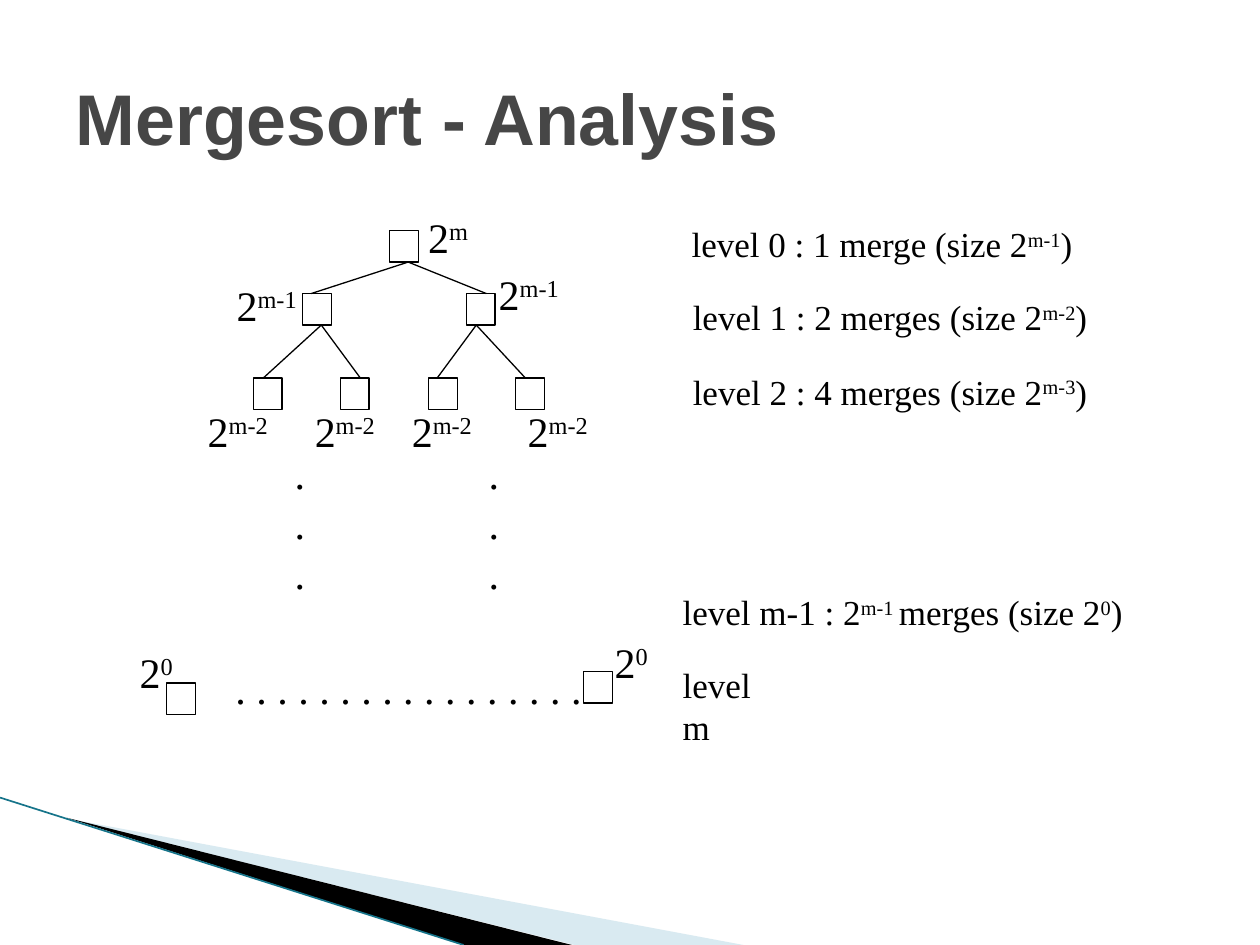
from dataclasses import dataclass

import lxml.etree
import pptx
import pptx.dml.color
import pptx.enum.shapes
import pptx.enum.text
import pptx.oxml.ns
import pptx.util
from pptx.util import Inches


@dataclass(frozen=True)
class Theme:
    ink: str = "000000"
    paper: str = "FFFFFF"
    title: str = "464646"
    pale_wedge: str = "A0CBDC"
    edge: str = "16748A"
    title_font: str = "Arial"
    body_font: str = "Times New Roman"
    title_size: float = 41
    node_size: float = 24
    level_size: float = 20
    thin_line: float = 0.75
    edge_line: float = 0.95


@dataclass(frozen=True)
class Label:
    """Text box; parts between carets are superscript."""
    text: str
    left: float
    top: float
    width: float
    height: float = 0.5
    size: float = Theme.node_size


@dataclass(frozen=True)
class Branches:
    """A parent's lower point and the upper points of its two children."""
    start: tuple[float, float]
    child_xs: tuple[float, float]
    child_top: float


THEME = Theme()
NODE_WIDTH, NODE_HEIGHT = 0.23, 0.25

# Left edges of the nodes in each row, keyed by the row's top
NODE_ROWS = {
    1.83: [3.09],
    2.33: [2.4, 3.7],
    3.0: [2.01, 2.7, 3.4, 4.09],
    5.33: [4.63],
    5.42: [1.32],
}
BRANCHES = [
    Branches((3.24, 2.08), (2.47, 3.86), 2.33),
    Branches((2.55, 2.58), (2.09, 2.86), 3.0),
    Branches((3.78, 2.58), (3.47, 4.17), 3.0),
]
NODE_LABELS = [
    Label("2^m", 3.3, 1.63, 0.54),
    Label("2^m-1", 1.78, 2.17, 0.73),
    Label("2^m-1", 3.86, 2.08, 0.73),
    *[Label("2^m-2", left, 3.17, 0.73) for left in (1.55, 2.4, 3.17, 4.09)],
    Label("2^0", 1.01, 5.08, 0.48),
    Label("2^0", 4.78, 5.0, 0.48),
]
DOTS = [
    *[Label("\n".join("..."), left, 3.5, 0.28, 1.3) for left in (2.24, 3.78)],
    Label(" ".join("." * 17), 1.77, 5.21, 2.95),
]
LEVEL_LABELS = [
    Label(text, left, top, width, 0.43, THEME.level_size)
    for text, left, top, width in [
        ("level 0 : 1 merge (size 2^m-1^)", 5.39, 1.72, 3.32),
        ("level 1 : 2 merges (size 2^m-2^)", 5.4, 2.3, 3.43),
        ("level 2 : 4 merges (size 2^m-3^)", 5.4, 2.89, 3.43),
        ("level m-1 : 2^m-1 ^merges (size 2^0^)", 5.32, 4.64, 3.8),
        ("level m", 5.32, 5.22, 1.02),
    ]
]


def color(value: str) -> pptx.dml.color.RGBColor:
    return pptx.dml.color.RGBColor.from_string(value)


def format_font(font, name: str, size: float, ink: str, bold: bool = False) -> None:
    font.name, font.size, font.bold = name, pptx.util.Pt(size), bold
    font.color.rgb = color(ink)


def add_wedge(slide, points: list[tuple[float, float]], fill: str,
              opacity: int = 100) -> None:
    corners = [(Inches(x), Inches(y)) for x, y in points]
    builder = slide.shapes.build_freeform(*corners[0])
    builder.add_line_segments(corners[1:], close=True)
    shape = builder.convert_to_shape()
    shape.shadow.inherit = False
    shape.fill.solid()
    shape.fill.fore_color.rgb = color(fill)
    shape.line.fill.background()
    if opacity < 100:
        rgb = shape.fill._xPr.find(".//" + pptx.oxml.ns.qn("a:srgbClr"))
        alpha = lxml.etree.SubElement(rgb, pptx.oxml.ns.qn("a:alpha"))
        alpha.set("val", str(opacity * 1000))


def add_line(slide, start: tuple[float, float], end: tuple[float, float],
             ink: str, width: float) -> None:
    connector = slide.shapes.add_connector(
        pptx.enum.shapes.MSO_CONNECTOR.STRAIGHT,
        *[Inches(value) for value in (*start, *end)])
    connector.line.color.rgb = color(ink)
    connector.line.width = pptx.util.Pt(width)
    lxml.etree.SubElement(connector._element.spPr, pptx.oxml.ns.qn("a:effectLst"))


def add_node(slide, left: float, top: float) -> None:
    shape = slide.shapes.add_shape(
        pptx.enum.shapes.MSO_SHAPE.RECTANGLE, Inches(left), Inches(top),
        Inches(NODE_WIDTH), Inches(NODE_HEIGHT))
    shape.shadow.inherit = False
    shape.fill.solid()
    shape.fill.fore_color.rgb = color(THEME.paper)
    shape.line.color.rgb = color(THEME.ink)
    shape.line.width = pptx.util.Pt(THEME.thin_line)


def add_label(slide, label: Label) -> None:
    box = slide.shapes.add_textbox(Inches(label.left), Inches(label.top),
                                   Inches(label.width), Inches(label.height))
    frame = box.text_frame
    frame.word_wrap = False
    frame.auto_size = pptx.enum.text.MSO_AUTO_SIZE.SHAPE_TO_FIT_TEXT
    for index, line in enumerate(label.text.split("\n")):
        paragraph = frame.add_paragraph() if index else frame.paragraphs[0]
        for position, part in enumerate(line.split("^")):
            run = paragraph.add_run()
            run.text = part
            format_font(run.font, THEME.body_font, label.size, THEME.ink)
            if position % 2:
                run._r.get_or_add_rPr().set("baseline", "30000")


def add_title(slide, text: str) -> None:
    title = slide.shapes.title
    title.left, title.top = Inches(0.5), Inches(0.3)
    title.width, title.height = Inches(9), Inches(1.25)
    frame = title.text_frame
    frame.text = text
    frame.vertical_anchor = pptx.enum.text.MSO_ANCHOR.MIDDLE
    paragraph = frame.paragraphs[0]
    paragraph.alignment = pptx.enum.text.PP_ALIGN.LEFT
    format_font(paragraph.runs[0].font, THEME.title_font, THEME.title_size,
                THEME.title, bold=True)


def main() -> None:
    presentation = pptx.Presentation()
    presentation.slide_width, presentation.slide_height = Inches(10), Inches(7.5)
    slide = presentation.slides.add_slide(presentation.slide_layouts[5])

    # Corner decoration
    add_wedge(slide, [(0.55, 6.5), (5.9, 7.5), (4.56, 7.5)], THEME.pale_wedge, 40)
    add_wedge(slide, [(0.53, 6.49), (4.54, 7.5), (3.68, 7.5)], THEME.ink)
    add_line(slide, (0, 6.33), (3.68, 7.5), THEME.edge, THEME.edge_line)

    add_title(slide, "Mergesort - Analysis")

    # Merge tree
    for top, lefts in NODE_ROWS.items():
        for left in lefts:
            add_node(slide, left, top)
    for branches in BRANCHES:
        for child_x in branches.child_xs:
            add_line(slide, branches.start, (child_x, branches.child_top),
                     THEME.ink, THEME.thin_line)

    # Dots, node sizes and level descriptions
    for label in DOTS + NODE_LABELS + LEVEL_LABELS:
        add_label(slide, label)

    presentation.save("out.pptx")


if __name__ == "__main__":
    main()
